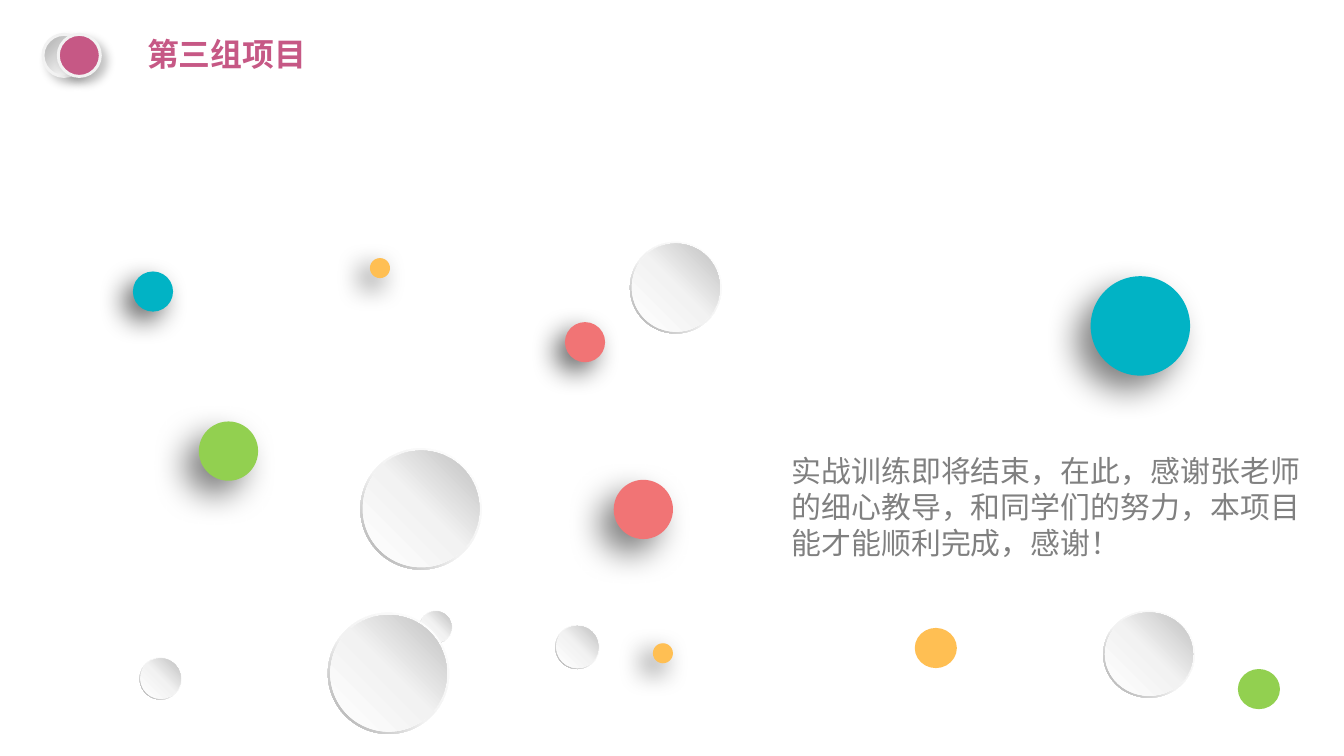
from lxml.etree import SubElement
from pptx import Presentation
from pptx.dml.color import RGBColor
from pptx.enum.shapes import MSO_SHAPE
from pptx.oxml.ns import qn
from pptx.util import Inches, Pt

FONT = "Arial Narrow"
TEAL, CORAL, GREEN, AMBER, PINK = "01B3C5", "F17475", "92D050", "FFBF53", "C65885"
RIM_GRADIENT = ([(0, "FFFFFF"), (55, "F2F2F2"), (100, "A6A6A6")], 225)
FACE_GRADIENT = ([(0, "FFFFFF"), (51, "F2F2F2"), (100, "BFBFBF")], 45)
BADGE_GRADIENT = ([(20, "BFBFBF"), (80, "FFFFFF"), (100, "FFFFFF")], 315)
NEAR_SHADOW = (60, 20, 10, 135)
FAR_SHADOW = (50, 25, 15, 135)
BADGE_SHADOW = (23, 7, 5.9, 45)

GREY_DISCS = [
    (11.54, 6.39, 0.96, 0.91),
    (5.81, 6.54, 0.46, 0.46),
    (6.59, 2.53, 0.96, 0.96),
    (4.39, 6.39, 0.34, 0.34),
    (1.46, 6.88, 0.44, 0.44),
    (3.77, 4.69, 1.27, 1.27),
    (3.43, 6.41, 1.27, 1.27),
]
FLAT_DISCS = [(9.57, 6.57, AMBER), (12.95, 7, GREEN)]
FLOATING_DOTS = [
    (1.39, 2.84, 0.42, TEAL, NEAR_SHADOW),
    (5.91, 3.37, 0.42, CORAL, NEAR_SHADOW),
    (11.41, 2.89, 1.04, TEAL, FAR_SHADOW),
    (6.83, 6.73, 0.21, AMBER, NEAR_SHADOW),
    (6.42, 5.02, 0.62, CORAL, FAR_SHADOW),
    (3.87, 2.7, 0.21, AMBER, NEAR_SHADOW),
    (2.08, 4.41, 0.62, GREEN, FAR_SHADOW),
]


def color(value):
    """Turn a hex string into a colour."""
    return RGBColor.from_string(value)


def paint(shape, fill):
    """Fill a shape with a hex colour or a (stops, angle) gradient."""
    if isinstance(fill, str):
        shape.fill.solid()
        shape.fill.fore_color.rgb = color(fill)
        return
    stops, angle = fill
    shape.fill.gradient()
    shape.fill.gradient_angle = angle
    stop_list = shape.element.spPr.find(".//" + qn("a:gsLst"))
    for default_stop in list(stop_list):
        stop_list.remove(default_stop)
    for position, value in stops:
        stop = SubElement(stop_list, qn("a:gs"), pos=str(position * 1000))
        SubElement(stop, qn("a:srgbClr"), val=value)


def cast_shadow(shape, opacity, blur, distance, direction):
    """Give a shape a soft black outer shadow."""
    effects = shape.element.spPr.find(qn("a:effectLst"))
    shadow = SubElement(effects, qn("a:outerShdw"), blurRad=str(Pt(blur)),
                        dist=str(Pt(distance)), dir=str(direction * 60000),
                        algn="ctr", rotWithShape="0")
    black = SubElement(shadow, qn("a:srgbClr"), val="000000")
    SubElement(black, qn("a:alpha"), val=str(opacity * 1000))


def add_round(slide, box, fill, kind=MSO_SHAPE.OVAL, outline=None, shadow=None):
    """Add a round shape with an optional outline and shadow."""
    shape = slide.shapes.add_shape(kind, *map(Inches, box))
    paint(shape, fill)
    if outline:
        shape.line.color.rgb = color(outline)
        shape.line.width = Pt(2.25)
    else:
        shape.line.fill.background()
    shape.shadow.inherit = False
    if shadow:
        cast_shadow(shape, *shadow)
    return shape


def add_rimmed_disc(slide, box, rim_fill, face_fill):
    """Add a thin ring with a disc set just inside it."""
    left, top, width, height = box
    rim = add_round(slide, box, rim_fill, MSO_SHAPE.DONUT)
    rim.adjustments[0] = 0.049
    inset = 0.02 * width
    face_box = (left + inset, top + inset, width - 2 * inset, height - 2 * inset)
    add_round(slide, face_box, face_fill)


def add_text(slide, box, text, size, value, bold=False):
    """Add a wrapped text box and return its paragraph."""
    frame = slide.shapes.add_textbox(*map(Inches, box)).text_frame
    frame.word_wrap = True
    frame.text = text
    paragraph = frame.paragraphs[0]
    font = paragraph.runs[0].font
    font.name, font.size, font.bold = FONT, Pt(size), bold
    font.color.rgb = color(value)
    return paragraph


def main():
    """Build the closing slide and save it."""
    deck = Presentation()
    deck.slide_width, deck.slide_height = Inches(14.06), Inches(7.91)
    slide = deck.slides.add_slide(deck.slide_layouts[6])

    for left, fill in ((0.45, BADGE_GRADIENT), (0.61, PINK)):
        add_round(slide, (left, 0.36, 0.44, 0.44), fill,
                  outline="F2F2F2", shadow=BADGE_SHADOW)
    title = add_text(slide, (1.44, 0.36, 3.62, 0.55), "第三组项目", 24, PINK, bold=True)
    title.line_spacing = 0.9

    for box in GREY_DISCS:
        add_rimmed_disc(slide, box, RIM_GRADIENT, FACE_GRADIENT)
    for left, top, value in FLAT_DISCS:
        add_rimmed_disc(slide, (left, top, 0.44, 0.42), value, value)
    for left, top, size, value, shadow in FLOATING_DOTS:
        add_round(slide, (left, top, size, size), value, shadow=shadow)

    thanks = "实战训练即将结束，在此，感谢张老师的细心教导，和同学们的努力，本项目能才能顺利完成，感谢！"
    add_text(slide, (8.18, 4.69, 5.78, 1.24), thanks, 22.5, "808080")
    deck.save("out.pptx")


if __name__ == "__main__":
    main()
